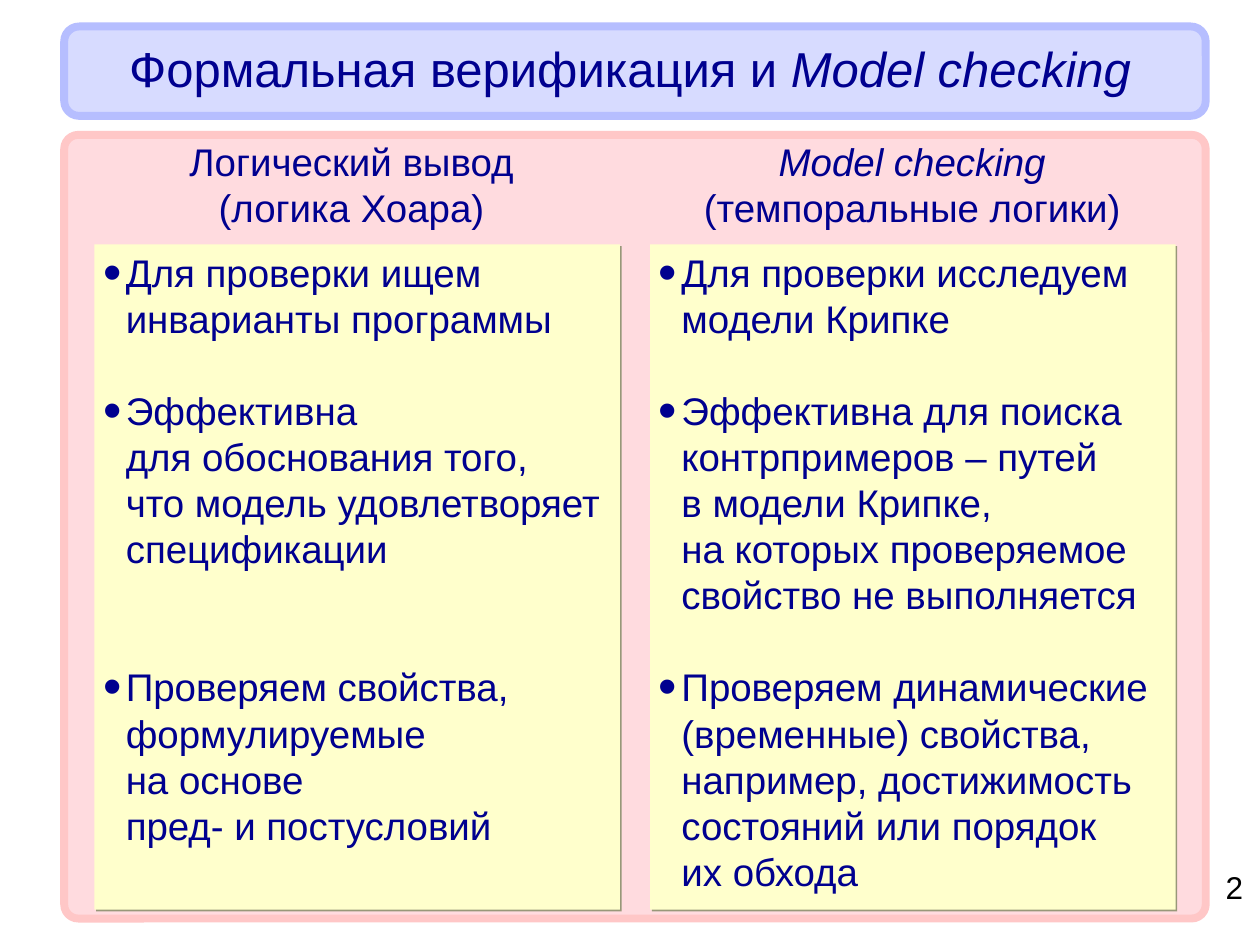
from lxml import etree
from pptx import Presentation
from pptx.dml.color import RGBColor
from pptx.enum import shapes, text
from pptx.oxml import ns
from pptx.util import Inches, Pt

NAVY = RGBColor(0x00, 0x00, 0x8F)
BLACK = RGBColor(0x00, 0x00, 0x00)
PINK = RGBColor(0xFF, 0xDB, 0xDF)
PINK_EDGE = RGBColor(0xFF, 0xC7, 0xC7)
BLUE = RGBColor(0xD7, 0xDB, 0xFF)
BLUE_EDGE = RGBColor(0xB6, 0xBE, 0xFF)
CREAM = RGBColor(0xFF, 0xFF, 0xCC)
SHADOW = RGBColor(0x98, 0x98, 0x79)

LINE_PITCH = 26.3
HANGING = Inches(0.18)

presentation = Presentation()
presentation.slide_width = Inches(10)
presentation.slide_height = Inches(7.5)
slide = presentation.slides.add_slide(presentation.slide_layouts[6])


def add_text(box, paragraphs, size=22, color=NAVY, align=text.PP_ALIGN.LEFT,
             anchor=text.MSO_ANCHOR.TOP, pitch=None, gaps=None, bullets=False, wrap=True):
    """Each paragraph is a list of (text, italic) runs; gaps are blank lines before each."""
    left, top, width, height = map(Inches, box)
    frame = slide.shapes.add_textbox(left, top, width, height).text_frame
    frame.word_wrap = wrap
    frame.vertical_anchor = anchor
    for index, runs in enumerate(paragraphs):
        paragraph = frame.paragraphs[0] if index == 0 else frame.add_paragraph()
        paragraph.alignment = align
        if pitch:
            paragraph.line_spacing = Pt(pitch)
        if gaps and gaps[index]:
            paragraph.space_before = Pt(gaps[index] * pitch)
        if bullets:
            properties = paragraph._p.get_or_add_pPr()
            properties.set("marL", str(HANGING))
            properties.set("indent", str(-HANGING))
            for tag, name, value in (("a:buSzPct", "val", "136000"),
                                     ("a:buFont", "typeface", "Arial"),
                                     ("a:buChar", "char", "•")):
                etree.SubElement(properties, ns.qn(tag)).set(name, value)
        paragraph.font.size = Pt(size)
        for content, italic in runs:
            for number, line in enumerate(content.split("\n")):
                if number:
                    paragraph.add_line_break()
                if not line:
                    continue
                run = paragraph.add_run()
                run.text = line
                run.font.name = "Arial"
                run.font.size = Pt(size)
                run.font.italic = italic
                run.font.color.rgb = color


# Framed panels: the body and the title
for top, height, corner, fill, edge in ((1.07, 6.22, 0.018, PINK, PINK_EDGE),
                                        (0.21, 0.71, 0.167, BLUE, BLUE_EDGE)):
    panel = slide.shapes.add_shape(shapes.MSO_SHAPE.ROUNDED_RECTANGLE, Inches(0.51),
                                   Inches(top), Inches(9.06), Inches(height))
    panel.adjustments[0] = corner
    panel.shadow.inherit = False
    panel.fill.solid()
    panel.fill.fore_color.rgb = fill
    panel.line.color.rgb = edge
    panel.line.width = Pt(4.5)

add_text((0.75, 0.08, 8.5, 0.92),
         [[("Формальная верификация и ", False), ("Model сhecking", True)]],
         size=28, align=text.PP_ALIGN.CENTER, anchor=text.MSO_ANCHOR.MIDDLE)

# Two columns: note left, heading left, heading width, heading, points, blank lines
columns = [
    (0.75, 0.98, 3.62,
     [("Логический вывод\n(логика Хоара)", False)],
     ["Для проверки ищем инварианты программы",
      "Эффективна\nдля обоснования того,\nчто модель удовлетворяет спецификации",
      "Проверяем свойства,\nформулируемые\nна основе\nпред- и постусловий"],
     [0, 1, 2]),
    (5.16, 5.23, 4.02,
     [("Model checking", True), ("\n(темпоральные логики)", False)],
     ["Для проверки исследуем модели Крипке",
      "Эффективна для поиска контрпримеров – путей\nв модели Крипке,\n"
      "на которых проверяемое свойство не выполняется",
      "Проверяем динамические (временные) свойства,\n"
      "например, достижимость состояний или порядок\nих обхода"],
     [0, 1, 1]),
]
for note_left, heading_left, heading_width, heading, points, gaps in columns:
    note = slide.shapes.add_shape(shapes.MSO_SHAPE.FOLDED_CORNER, Inches(note_left),
                                  Inches(1.94), Inches(4.17), Inches(5.28))
    guides = note._element.spPr.find(ns.qn("a:prstGeom")).get_or_add_avLst()
    etree.SubElement(guides, ns.qn("a:gd"), name="adj", fmla="val 0")
    note.fill.solid()
    note.fill.fore_color.rgb = CREAM
    note.line.fill.background()
    note.shadow.inherit = False
    effects = note._element.spPr.find(ns.qn("a:effectLst"))
    shadow = etree.SubElement(effects, ns.qn("a:outerShdw"), dist=str(Pt(1.4)),
                              dir="2700000", algn="ctr", rotWithShape="0")
    etree.SubElement(shadow, ns.qn("a:srgbClr"), val=str(SHADOW))

    add_text((heading_left, 0.99, heading_width, 0.94), [heading], pitch=LINE_PITCH,
             align=text.PP_ALIGN.CENTER, anchor=text.MSO_ANCHOR.MIDDLE)
    add_text((note_left - 0.03, 1.93, 4.28, 5.4), [[(point, False)] for point in points],
             pitch=LINE_PITCH, gaps=gaps, bullets=True)

add_text((9.63, 6.84, 0.34, 0.4), [[("2", False)]], size=18, color=BLACK, wrap=False)

presentation.save("out.pptx")
